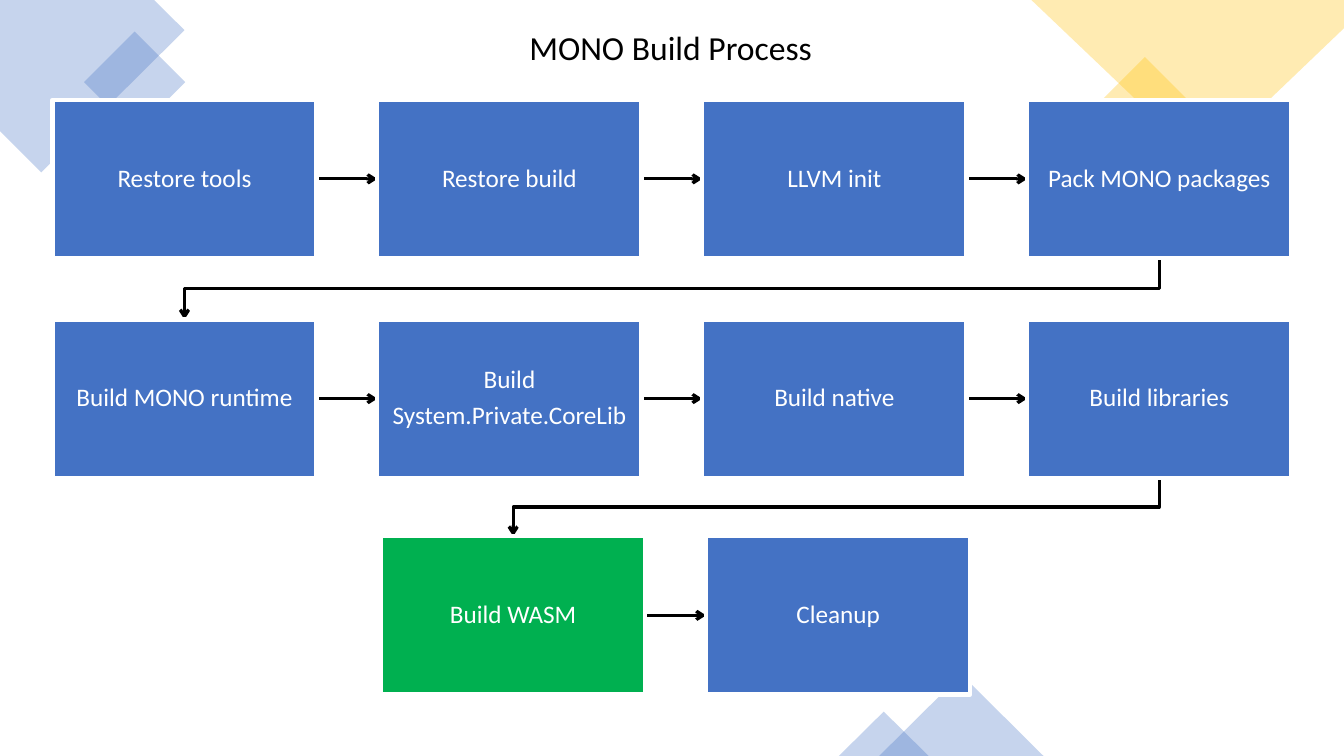
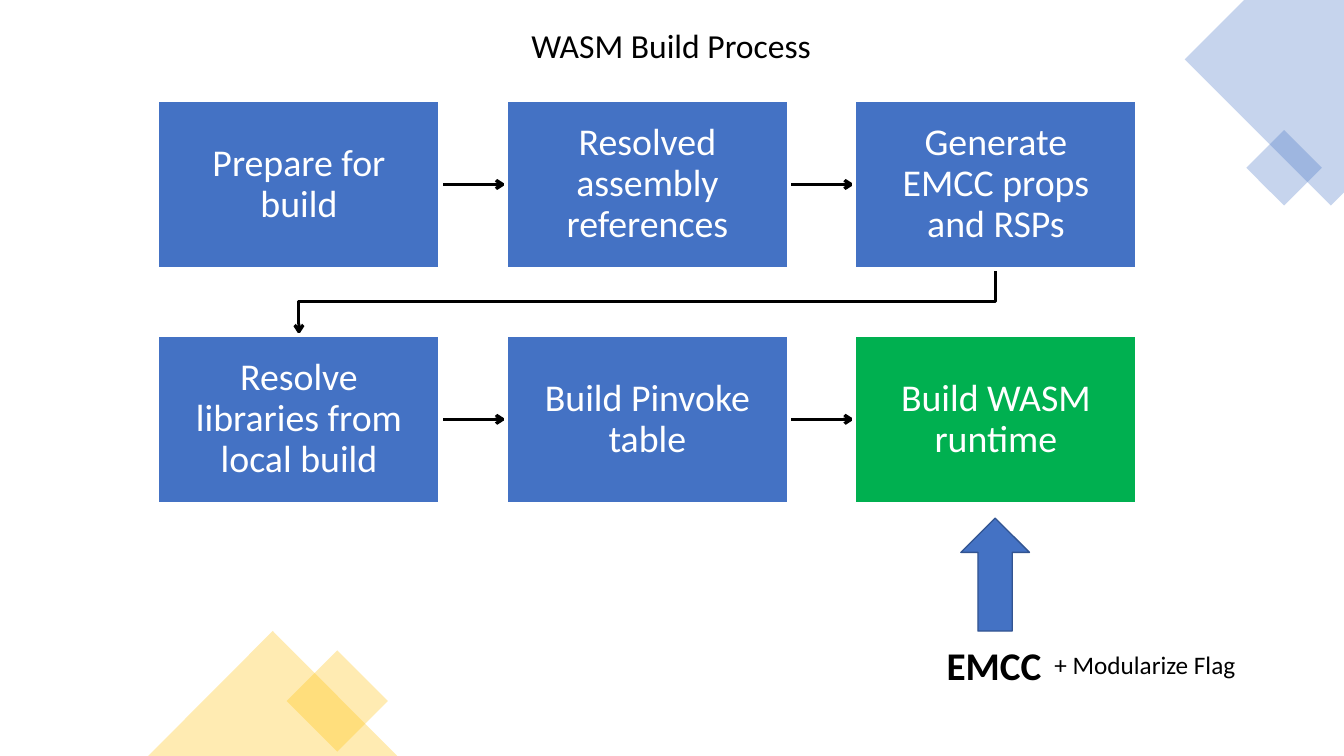
"""Build two slides that chart the MONO and WASM build processes."""
from dataclasses import dataclass

from lxml.etree import SubElement
from pptx import Presentation
from pptx.dml.color import RGBColor
from pptx.enum.shapes import MSO_CONNECTOR, MSO_SHAPE
from pptx.enum.text import MSO_ANCHOR, MSO_AUTO_SIZE, PP_ALIGN
from pptx.oxml.ns import qn
from pptx.util import Inches, Pt

BLUE, GREEN, GOLD = "4472C4", "00B050", "FFC000"
BLACK, WHITE, DARK_BLUE = "000000", "FFFFFF", "325491"
FONT = "Calibri"
DECOR_OPACITY = 30
GAP_RATIO = 0.23
TOP, BOTTOM, LEFT, RIGHT = 0, 2, 1, 3


@dataclass(frozen=True)
class Row:
    """One line of steps, placed by its top left corner."""
    left: float
    top: float
    steps: tuple[str, ...]


@dataclass(frozen=True)
class Flow:
    """Rows of steps that share one box size and text style."""
    width: float
    height: float
    inset: float
    size: int
    target: str
    rows: tuple[Row, ...]


@dataclass(frozen=True)
class Decor:
    """A translucent preset shape at the edge of a slide."""
    kind: MSO_SHAPE
    left: float
    top: float
    width: float
    height: float
    color: str
    rotation: int = 0


@dataclass(frozen=True)
class Corner:
    """A translucent polygon that runs off a slide corner."""
    points: tuple[tuple[float, float], ...]
    color: str


MONO_DECOR = (
    Corner(((1.53, 0), (0, 0), (0, 1.3), (0.41, 1.71), (1.83, 0.3)), BLUE),
    Decor(MSO_SHAPE.RECTANGLE, 0.98, 0.46, 0.71, 0.71, BLUE, 45),
    Decor(MSO_SHAPE.RECTANGLE, 10.98, 0.72, 0.75, 0.75, GOLD, 45),
    Corner(((13.33, 0), (10.23, 0), (11.93, 1.62), (13.33, 0.28)), GOLD),
    Decor(MSO_SHAPE.ISOSCELES_TRIANGLE, 8.72, 6.69, 1.63, 0.81, BLUE),
    Decor(MSO_SHAPE.ISOSCELES_TRIANGLE, 8.32, 7.06, 0.89, 0.44, BLUE),
)
WASM_DECOR = (
    Corner(((13.33, 0), (12.34, 0), (11.75, 0.59), (13.2, 2.04), (13.33, 1.91)), BLUE),
    Decor(MSO_SHAPE.RECTANGLE, 12.47, 1.4, 0.53, 0.53, BLUE, 45),
    Decor(MSO_SHAPE.RECTANGLE, 2.99, 6.6, 0.71, 0.71, GOLD, 45),
    Decor(MSO_SHAPE.ISOSCELES_TRIANGLE, 1.47, 6.26, 2.47, 1.24, GOLD),
)
MONO_FLOW = Flow(2.62, 1.57, 0.14, 18, "Build WASM", (
    Row(0.52, 0.99, ("Restore tools", "Restore build", "LLVM init", "Pack MONO packages")),
    Row(0.52, 3.17, ("Build MONO runtime", "Build\nSystem.Private.CoreLib",
                     "Build native", "Build libraries")),
    Row(3.78, 5.32, ("Build WASM", "Cleanup")),
))
WASM_FLOW = Flow(2.81, 1.68, 0.21, 27, "Build WASM runtime", (
    Row(1.56, 0.99, ("Prepare for build", "Resolved assembly references",
                     "Generate EMCC props and RSPs")),
    Row(1.56, 3.32, ("Resolve libraries from local build", "Build Pinvoke table",
                     "Build WASM runtime")),
))


def rgb(color: str) -> RGBColor:
    """Turn a hex string into a colour."""
    return RGBColor.from_string(color)


def paint(shape, fill: str, line: str = "", weight: float = 0) -> None:
    """Give a shape a flat fill, an optional outline and no shadow."""
    shape.shadow.inherit = False
    shape.fill.solid()
    shape.fill.fore_color.rgb = rgb(fill)
    if line:
        shape.line.color.rgb = rgb(line)
        shape.line.width = Pt(weight)
    else:
        shape.line.fill.background()


def style_font(paragraph, size: int, color: str, bold: bool = False) -> None:
    """Set the font of a whole paragraph."""
    font = paragraph.font
    font.name, font.size, font.bold = FONT, Pt(size), bold
    font.color.rgb = rgb(color)


def style_arrow(arrow) -> None:
    """Draw a line in black with an open head at its end."""
    arrow.line.color.rgb = rgb(BLACK)
    arrow.line.width = Pt(2.25)
    properties = arrow.element.spPr
    SubElement(properties.get_or_add_ln(), qn("a:tailEnd"), type="arrow")
    SubElement(properties, qn("a:effectLst"))


def polyline(slide, points, close: bool):
    """Draw a freeform through points given in inches."""
    (start_x, start_y), *others = [(Inches(x), Inches(y)) for x, y in points]
    builder = slide.shapes.build_freeform(start_x, start_y)
    builder.add_line_segments(others, close=close)
    return builder.convert_to_shape()


def add_decor(slide, decor: Decor | Corner) -> None:
    """Draw one translucent decoration."""
    if isinstance(decor, Corner):
        shape = polyline(slide, decor.points, True)
    else:
        shape = slide.shapes.add_shape(
            decor.kind, Inches(decor.left), Inches(decor.top),
            Inches(decor.width), Inches(decor.height))
        shape.rotation = decor.rotation
    paint(shape, decor.color)
    hue = shape.element.spPr.find(qn("a:solidFill")).find(qn("a:srgbClr"))
    SubElement(hue, qn("a:alpha"), val=str(DECOR_OPACITY * 1000))


def add_step(slide, flow: Flow, left: float, top: float, step: str):
    """Draw one step as a white-edged box with centred text."""
    box = slide.shapes.add_shape(
        MSO_SHAPE.RECTANGLE, Inches(left), Inches(top),
        Inches(flow.width), Inches(flow.height))
    paint(box, GREEN if step == flow.target else BLUE, WHITE, 3)
    frame = box.text_frame
    frame.word_wrap = True
    frame.vertical_anchor = MSO_ANCHOR.MIDDLE
    frame.margin_left = frame.margin_right = Inches(flow.inset)
    frame.margin_top = frame.margin_bottom = Inches(flow.inset)
    frame.text = step
    for paragraph in frame.paragraphs:
        paragraph.alignment = PP_ALIGN.CENTER
        paragraph.line_spacing = 0.9
        paragraph.space_after = Pt(0.35 * flow.size)
        style_font(paragraph, flow.size, WHITE)
    return box


def add_row(slide, flow: Flow, row: Row) -> None:
    """Draw a row of steps with arrows beneath their white edges."""
    pitch = flow.width * (1 + GAP_RATIO)
    arrows = [slide.shapes.add_connector(MSO_CONNECTOR.STRAIGHT, 0, 0, 0, 0)
              for _ in row.steps[1:]]
    boxes = [add_step(slide, flow, row.left + column * pitch, row.top, step)
             for column, step in enumerate(row.steps)]
    for arrow, source, target in zip(arrows, boxes, boxes[1:]):
        arrow.begin_connect(source, RIGHT)
        arrow.end_connect(target, LEFT)
        style_arrow(arrow)


def add_return(slide, flow: Flow, upper: Row, lower: Row) -> None:
    """Lead the end of one row back to the start of the next."""
    pitch = flow.width * (1 + GAP_RATIO)
    start_x = upper.left + (len(upper.steps) - 1) * pitch + flow.width / 2
    end_x = lower.left + flow.width / 2
    start_y = upper.top + flow.height
    middle_y = (start_y + lower.top) / 2
    bend = polyline(slide, ((start_x, start_y), (start_x, middle_y),
                            (end_x, middle_y), (end_x, lower.top)), False)
    bend.fill.background()
    style_arrow(bend)


def add_flow(slide, flow: Flow) -> None:
    """Draw all rows of a flow and the bends between them."""
    for upper, lower in zip(flow.rows, flow.rows[1:]):
        add_return(slide, flow, upper, lower)
    for row in flow.rows:
        add_row(slide, flow, row)


def add_process(deck, title: str, left: float, top: float, decors, flow: Flow):
    """Add a titled slide with decorations and a flow."""
    slide = deck.slides.add_slide(deck.slide_layouts[5])
    for decor in decors:
        add_decor(slide, decor)
    add_flow(slide, flow)
    heading = slide.shapes.title
    heading.left, heading.top = Inches(left), Inches(top)
    heading.width, heading.height = Inches(3.03), Inches(0.5)
    frame = heading.text_frame
    frame.text = title
    frame.word_wrap = False
    frame.auto_size = MSO_AUTO_SIZE.NONE
    frame.vertical_anchor = MSO_ANCHOR.TOP
    paragraph = frame.paragraphs[0]
    paragraph.alignment = PP_ALIGN.LEFT
    style_font(paragraph, 24, BLACK)
    return slide


def add_label(slide, text: str, left: float, top: float, width: float,
              height: float, size: int, bold: bool = False) -> None:
    """Add a one-line text label."""
    label = slide.shapes.add_textbox(
        Inches(left), Inches(top), Inches(width), Inches(height))
    label.text_frame.word_wrap = False
    label.text_frame.text = text
    style_font(label.text_frame.paragraphs[0], size, BLACK, bold)


def add_compiler_input(slide) -> None:
    """Point the compiler and its flag at the last WASM step."""
    pointer = slide.shapes.add_shape(
        MSO_SHAPE.UP_ARROW, Inches(9.53), Inches(5.14), Inches(0.68), Inches(1.12))
    paint(pointer, BLUE, DARK_BLUE, 1)
    add_label(slide, "EMCC", 9.29, 6.31, 1.15, 0.57, 28, True)
    add_label(slide, "+ Modularize Flag", 10.36, 6.39, 2.02, 0.4, 18)


def main() -> None:
    """Build and save the deck."""
    deck = Presentation()
    deck.slide_width, deck.slide_height = Inches(13.33), Inches(7.5)
    add_process(deck, "MONO Build Process", 5.15, 0.22, MONO_DECOR, MONO_FLOW)
    wasm = add_process(deck, "WASM Build Process", 5.17, 0.2, WASM_DECOR, WASM_FLOW)
    add_compiler_input(wasm)
    deck.save("out.pptx")


if __name__ == "__main__":
    main()
